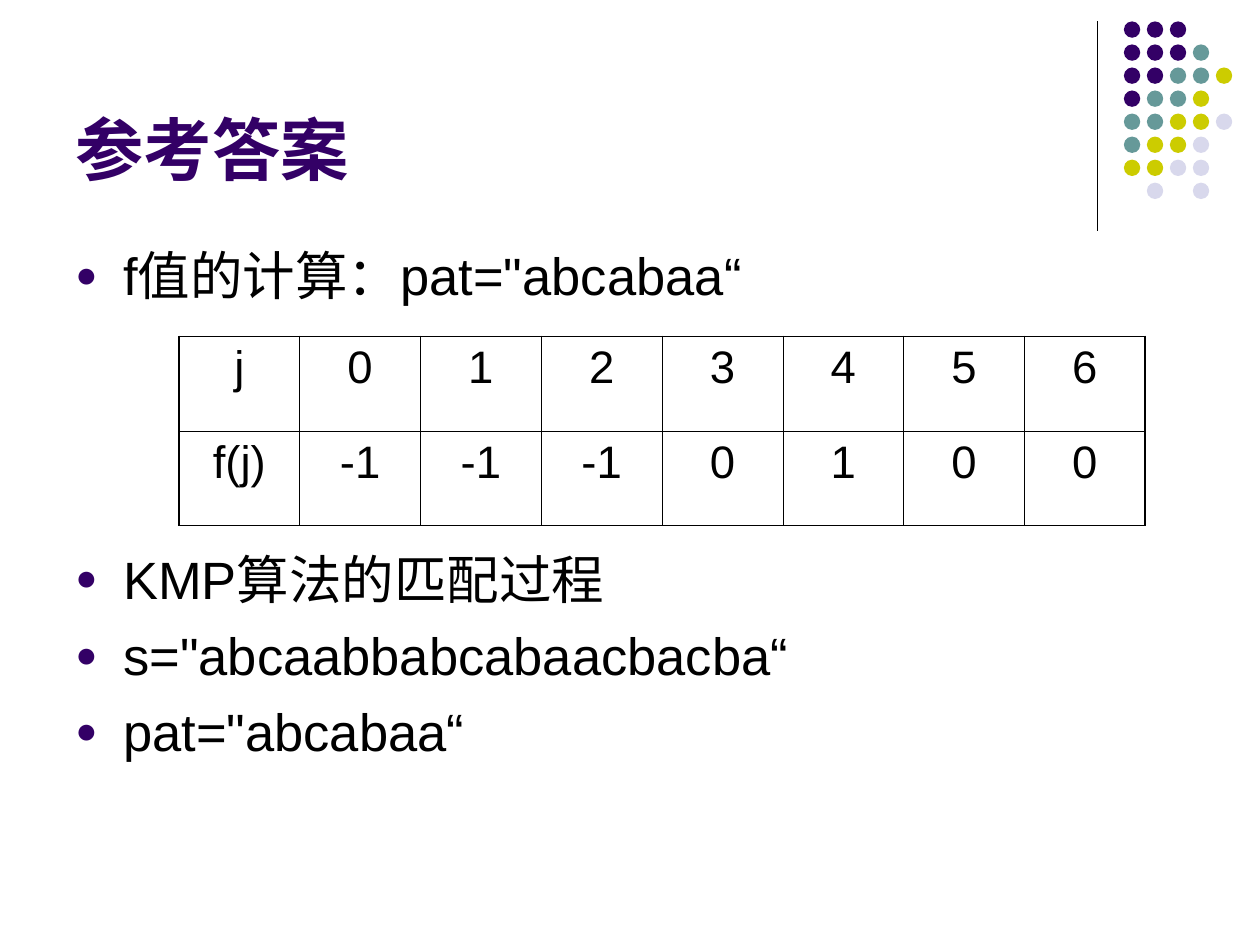
from lxml import etree
from pptx import Presentation
from pptx.dml.color import RGBColor
from pptx.enum.shapes import MSO_CONNECTOR, MSO_SHAPE
from pptx.enum.text import MSO_ANCHOR, PP_ALIGN
from pptx.oxml.ns import qn
from pptx.util import Inches, Pt

LEFT, CENTER = PP_ALIGN.LEFT, PP_ALIGN.CENTER
BOTTOM, TOP = MSO_ANCHOR.BOTTOM, MSO_ANCHOR.TOP
OVAL, STRAIGHT = MSO_SHAPE.OVAL, MSO_CONNECTOR.STRAIGHT
COLORS = {"ink": "000000", "plum": "330066", "teal": "669999",
          "lime": "CCCC00", "pale": "D8D8EC"}
KEYS = {"P": "plum", "T": "teal", "L": "lime", "W": "pale"}
DOTS = ["PPP", "PPPT", "PPTTL", "PTTL", "TTLLW", "TLLW", "LLWW", " W W"]
ROWS = [["j", "0", "1", "2", "3", "4", "5", "6"],
        ["f(j)", "-1", "-1", "-1", "0", "1", "0", "0"]]
FONT = "Arial"


def rgb(name):
    """Return a named colour."""
    return RGBColor.from_string(COLORS[name])


def add_node(parent, tag, **attrs):
    """Append a drawing element and return it."""
    return etree.SubElement(parent, qn(tag), attrs)


def add_bullet(para):
    """Give a paragraph a hanging round bullet."""
    props = para._p.get_or_add_pPr()
    props.set("marL", str(Inches(0.38)))
    props.set("indent", str(-Inches(0.38)))
    tint = add_node(props, "a:buClr")
    add_node(tint, "a:srgbClr", val=COLORS["plum"])
    add_node(props, "a:buSzPct", val="70000")
    add_node(props, "a:buFont", typeface=FONT)
    add_node(props, "a:buChar", char="●")


def put_text(frame, text, size=30, color="ink", bold=False, align=LEFT,
             anchor=TOP, before=0, bullet=False):
    """Fill a text frame with one paragraph per line of text."""
    frame.word_wrap = True
    frame.vertical_anchor = anchor
    for i, line in enumerate(text.split("\n")):
        para = frame.add_paragraph() if i else frame.paragraphs[0]
        para.alignment = align
        para.space_before = Pt(before)
        if bullet:
            add_bullet(para)
        run = para.add_run()
        run.text = line
        font = run.font
        font.size, font.bold, font.name = Pt(size), bold, FONT
        font.color.rgb = rgb(color)
        add_node(run._r.get_or_add_rPr(), "a:ea", typeface=FONT)


def add_title(slide, text):
    """Place and fill the title."""
    title = slide.shapes.title
    title.left, title.top = Inches(0.5), Inches(0.13)
    title.width, title.height = Inches(8.25), Inches(1.42)
    put_text(title.text_frame, text, size=39, color="plum", bold=True,
             anchor=BOTTOM)


def add_list(slide, text, top, high):
    """Add a bulleted text box."""
    box = slide.shapes.add_textbox(Inches(0.5), Inches(top),
                                   Inches(9), Inches(high))
    put_text(box.text_frame, text, before=7.5, bullet=True)


def add_rule(slide):
    """Draw the upright line beside the dots."""
    rule = slide.shapes.add_connector(STRAIGHT, Inches(8.71), Inches(0.17),
                                      Inches(8.71), Inches(1.83))
    rule.line.color.rgb = rgb("ink")
    rule.line.width = Pt(0.75)
    add_node(rule._element.spPr, "a:effectLst")


def add_dots(slide):
    """Draw the grid of coloured dots."""
    size = Inches(0.13)
    for r, row in enumerate(DOTS):
        for c, key in enumerate(row):
            if key == " ":
                continue
            left = Inches(8.92 + 0.73 * c / 4)
            top = Inches(0.17 + 1.28 * r / 7)
            dot = slide.shapes.add_shape(OVAL, left, top, size, size)
            dot.shadow.inherit = False
            dot.fill.solid()
            dot.fill.fore_color.rgb = rgb(KEYS[key])
            dot.line.fill.background()


def add_edges(cell, outer):
    """Draw cell borders, thicker on the outer sides."""
    props = cell._tc.get_or_add_tcPr()
    for side in "LRTB":
        width = Pt(1.08 if side in outer else 0.45)
        edge = add_node(props, "a:ln" + side, w=str(width))
        fill = add_node(edge, "a:solidFill")
        add_node(fill, "a:srgbClr", val=COLORS["ink"])


def add_grid(slide):
    """Add the table of f values."""
    high, wide = len(ROWS), len(ROWS[0])
    table = slide.shapes.add_table(high, wide, Inches(1.42), Inches(2.67),
                                   Inches(7.67), Inches(1.5)).table
    table.first_row = table.horz_banding = False
    for r, row in enumerate(ROWS):
        for c, text in enumerate(row):
            cell = table.cell(r, c)
            outer = ("T" if r == 0 else "") + ("B" if r == high - 1 else "")
            outer += ("L" if c == 0 else "") + ("R" if c == wide - 1 else "")
            add_edges(cell, outer)
            cell.fill.background()
            put_text(cell.text_frame, text, size=26, align=CENTER, before=6.5)


def main():
    """Build and save the slide."""
    deck = Presentation()
    deck.slide_width, deck.slide_height = Inches(10), Inches(7.5)
    slide = deck.slides.add_slide(deck.slide_layouts[5])
    add_rule(slide)
    add_dots(slide)
    add_title(slide, "参考答案")
    add_list(slide, 'f值的计算：pat="abcabaa“', 1.88, 0.7)
    add_list(slide, 'KMP算法的匹配过程\ns="abcaabbabcabaacbacba“\npat="abcabaa“',
             4.29, 2.41)
    add_grid(slide)
    deck.save("out.pptx")


if __name__ == "__main__":
    main()
